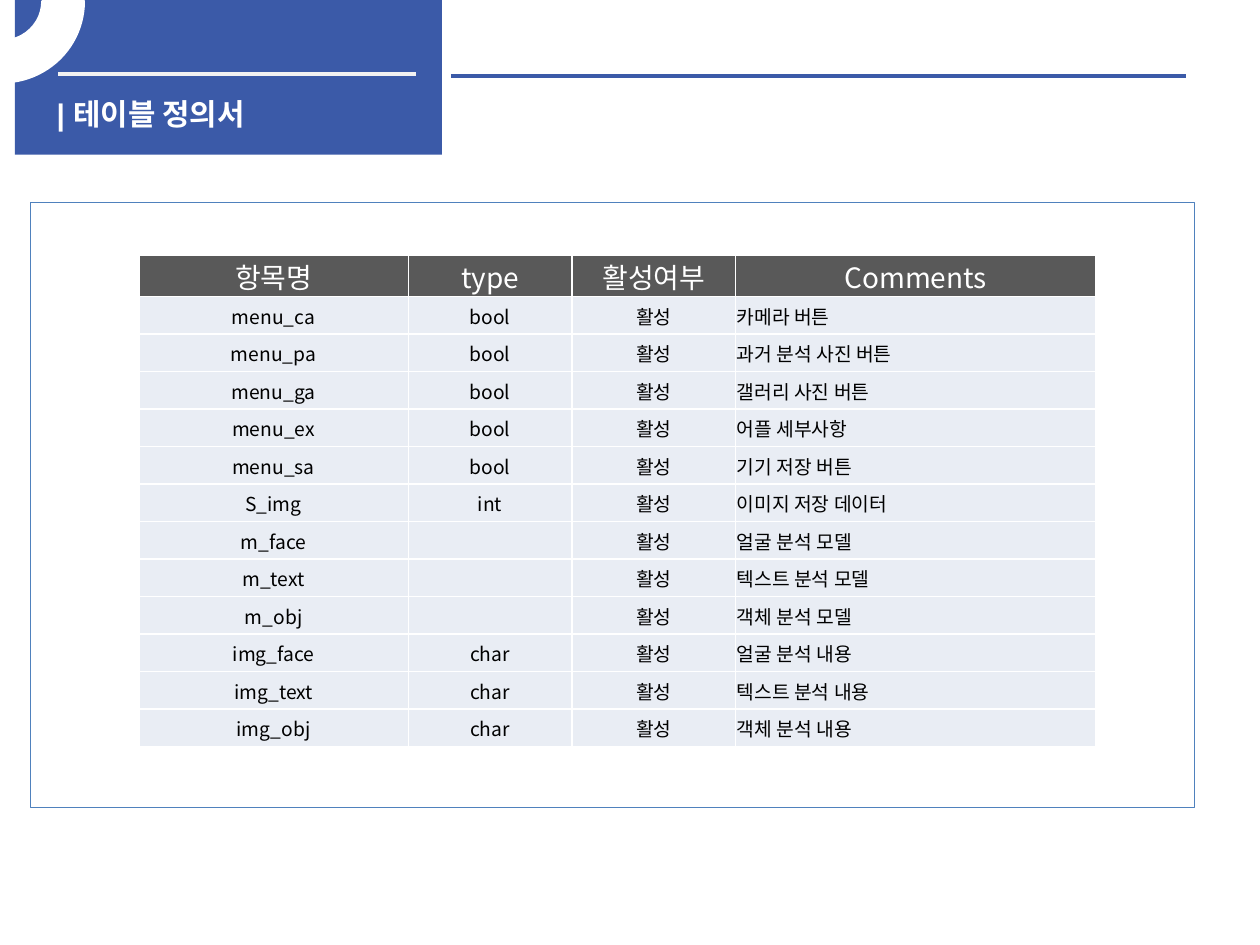
"""Build the table definition slide with its header band and framed table."""
from lxml import etree
from pptx import Presentation
from pptx.dml.color import RGBColor
from pptx.enum.shapes import MSO_CONNECTOR, MSO_SHAPE
from pptx.enum.text import MSO_ANCHOR, MSO_AUTO_SIZE, PP_ALIGN
from pptx.oxml.ns import qn
from pptx.util import Cm, Pt

LEFT, CENTER = PP_ALIGN.LEFT, PP_ALIGN.CENTER
TOP, MIDDLE = MSO_ANCHOR.TOP, MSO_ANCHOR.MIDDLE
NO_AUTOFIT = MSO_AUTO_SIZE.NONE
STRAIGHT = MSO_CONNECTOR.STRAIGHT
RECTANGLE, BLOCK_ARC = MSO_SHAPE.RECTANGLE, MSO_SHAPE.BLOCK_ARC

BLUE, WHITE, BLACK = "3B5AA8", "FFFFFF", "000000"
HEADER_FILL, BODY_FILL = "595959", "E9EDF4"
TITLE = "| 테이블 정의서"
TITLE_FONT, TABLE_FONT = "Arial", "Noto Sans CJK KR"
HEADERS = ["항목명", "type", "활성여부", "Comments"]
ACTIVE = "활성"
FIELDS = [
    ("menu_ca", "bool", "카메라 버튼"),
    ("menu_pa", "bool", "과거 분석 사진 버튼"),
    ("menu_ga", "bool", "갤러리 사진 버튼"),
    ("menu_ex", "bool", "어플 세부사항"),
    ("menu_sa", "bool", "기기 저장 버튼"),
    ("S_img", "int", "이미지 저장 데이터"),
    ("m_face", "", "얼굴 분석 모델"),
    ("m_text", "", "텍스트 분석 모델"),
    ("m_obj", "", "객체 분석 모델"),
    ("img_face", "char", "얼굴 분석 내용"),
    ("img_text", "char", "텍스트 분석 내용"),
    ("img_obj", "char", "객체 분석 내용"),
]
COLUMN_WIDTHS = [5.43, 3.3, 3.3, 7.26]
TABLE_LEFT, TABLE_TOP, ROW_HEIGHT = 2.8, 5.14, 0.756
RULES = [(1.17, 8.38, 1.5, "F2F2F2"), (9.09, 23.9, 1.53, BLUE)]


def color(value):
    return RGBColor.from_string(value)


def paint(target, value):
    target.fill.solid()
    target.fill.fore_color.rgb = color(value)


def add_block(slide, kind, box, fill=None, line=None, width=0):
    shape = slide.shapes.add_shape(kind, *map(Cm, box))
    shape.shadow.inherit = False
    if fill:
        paint(shape, fill)
    else:
        shape.fill.background()
    if line:
        shape.line.color.rgb = color(line)
        shape.line.width = Pt(width)
    else:
        shape.line.fill.background()
    return shape


def add_rule(slide, start, end, top, value):
    rule = slide.shapes.add_connector(STRAIGHT, Cm(start), Cm(top), Cm(end), Cm(top))
    rule.line.color.rgb = color(value)
    rule.line.width = Pt(2.25)
    etree.SubElement(rule.element.spPr, qn("a:effectLst"))


def write(paragraph, text, font, size, value, alignment, bold=False):
    paragraph.alignment = alignment
    run = paragraph.add_run()
    run.text = text
    run.font.name = font
    run.font.size = Pt(size)
    run.font.bold = bold
    run.font.color.rgb = color(value)


def place_title(slide):
    title = slide.shapes.title
    title.left, title.top, title.width, title.height = map(Cm, (0.89, 1.93, 8, 0.81))
    frame = title.text_frame
    frame.auto_size = NO_AUTOFIT
    frame.word_wrap = True
    frame.vertical_anchor = TOP
    frame.margin_top = frame.margin_bottom = 0
    write(frame.paragraphs[0], TITLE, TITLE_FONT, 17, WHITE, LEFT, bold=True)
    slide.shapes.element.append(title.element)


def add_borders(cell):
    properties = cell._tc.get_or_add_tcPr()
    for side in ("lnL", "lnR", "lnT", "lnB"):
        line = etree.SubElement(properties, qn(f"a:{side}"), w=str(Pt(1)))
        fill = etree.SubElement(line, qn("a:solidFill"))
        etree.SubElement(fill, qn("a:srgbClr"), val=WHITE)


def fill_cell(cell, text, is_header, alignment):
    cell.vertical_anchor = MIDDLE
    cell.margin_left = cell.margin_right = cell.margin_top = Cm(0.02)
    cell.margin_bottom = 0
    add_borders(cell)
    paint(cell, HEADER_FILL if is_header else BODY_FILL)
    size, value = (16, WHITE) if is_header else (11, BLACK)
    write(cell.text_frame.paragraphs[0], text, TABLE_FONT, size, value, alignment)


def add_definition_table(slide):
    rows = [HEADERS] + [(name, kind, ACTIVE, note) for name, kind, note in FIELDS]
    box = (TABLE_LEFT, TABLE_TOP, sum(COLUMN_WIDTHS), ROW_HEIGHT * len(rows))
    table = slide.shapes.add_table(len(rows), len(HEADERS), *map(Cm, box)).table
    for column, width in zip(table.columns, COLUMN_WIDTHS):
        column.width = Cm(width)
    for row_index, values in enumerate(rows):
        table.rows[row_index].height = Cm(ROW_HEIGHT)
        for column_index, text in enumerate(values):
            is_header = row_index == 0
            is_comment = column_index == len(HEADERS) - 1
            alignment = LEFT if is_comment and not is_header else CENTER
            fill_cell(table.cell(row_index, column_index), text, is_header, alignment)


def main():
    presentation = Presentation()
    presentation.slide_width, presentation.slide_height = Cm(25.4), Cm(19.05)
    slide = presentation.slides.add_slide(presentation.slide_layouts[5])
    add_block(slide, RECTANGLE, (0.3, 0, 8.61, 3.12), BLUE)
    for rule in RULES:
        add_rule(slide, *rule)
    place_title(slide)
    arc = add_block(slide, BLOCK_ARC, (-1.6, -1.6, 3.28, 3.25), WHITE, WHITE, 2)
    for index, value in enumerate((161.59, 0, 0.25)):
        arc.adjustments[index] = value
    arc.element.spPr.get_or_add_xfrm().set("flipV", "1")
    add_block(slide, RECTANGLE, (0.61, 4.09, 23.47, 12.19), None, "4F81BD", 0.75)
    add_definition_table(slide)
    presentation.save("out.pptx")


if __name__ == "__main__":
    main()
